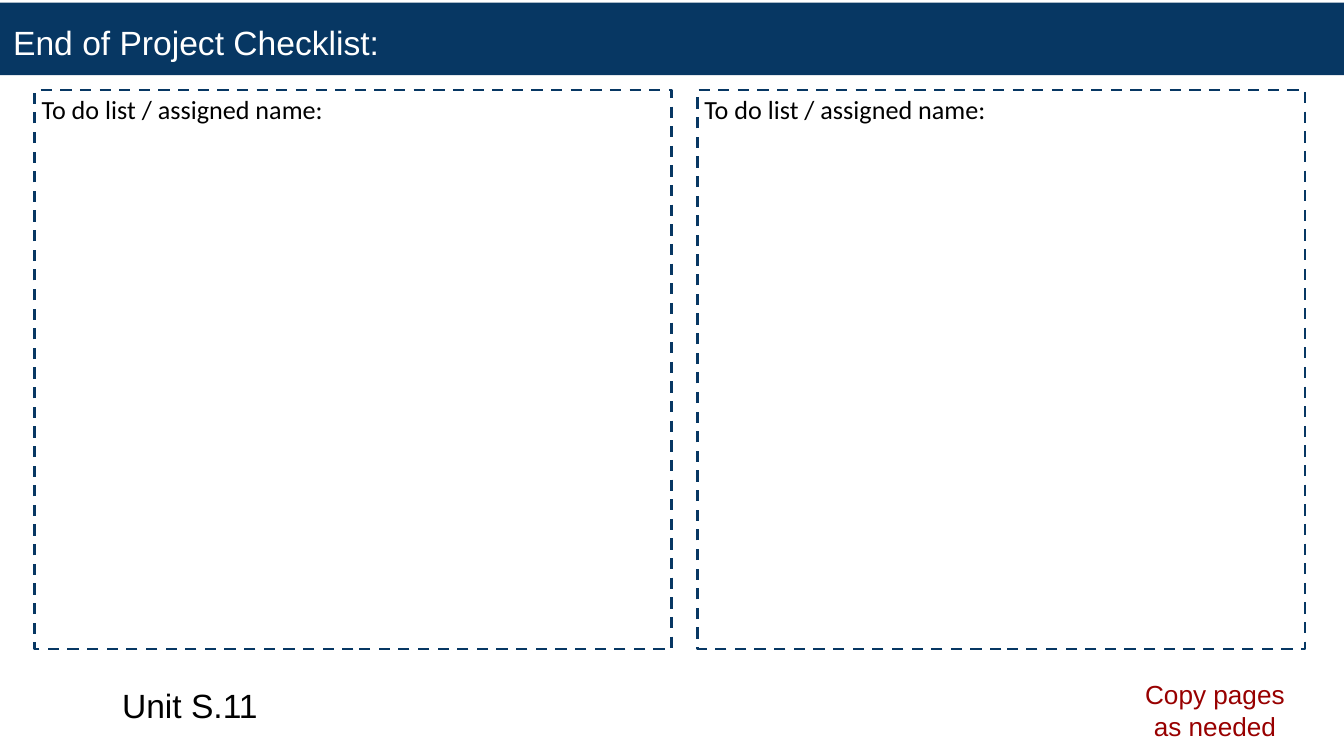
from pptx import Presentation
from pptx import util as u
from pptx.dml.color import RGBColor
from pptx.enum import dml, shapes, text

NAVY = RGBColor(0x07, 0x37, 0x63)
WHITE = RGBColor(0xFF, 0xFF, 0xFF)
BLACK = RGBColor(0x00, 0x00, 0x00)
DARK_RED = RGBColor(0x98, 0x00, 0x00)

WIDTH = 10
HEIGHT = WIDTH * 9 / 16
MARGIN, GUTTER = 0.26, 0.19
PANEL_TOP, PANEL_HEIGHT = 0.67, 4.16
PANEL_WIDTHS = (4.74, 4.52)


def inches(*lengths):
    return [u.Inches(length) for length in lengths]


def write(box, lines, font, size, color, inset=0.1,
          anchor=text.MSO_ANCHOR.TOP, align=text.PP_ALIGN.LEFT):
    """Fill the box with one paragraph, broken between the lines."""
    frame = box.text_frame
    frame.word_wrap = True
    frame.vertical_anchor = anchor
    frame.margin_left = frame.margin_right = u.Inches(inset)
    frame.margin_top = frame.margin_bottom = u.Inches(inset)
    para = frame.paragraphs[0]
    para.alignment = align
    for index, line in enumerate(lines):
        if index:
            para.add_line_break()
        span = para.add_run()
        span.text = line
        span.font.name = font
        span.font.size = u.Pt(size)
        span.font.color.rgb = color
    return para


def add_rectangle(page, *place):
    box = page.shapes.add_shape(shapes.MSO_SHAPE.RECTANGLE, *inches(*place))
    box.shadow.inherit = False
    return box


def add_title_bar(page, title):
    bar = add_rectangle(page, 0, 0.02, WIDTH, 0.54)
    bar.fill.solid()
    bar.fill.fore_color.rgb = NAVY
    bar.line.fill.background()
    write(bar, [title], "Arial", 18, WHITE, anchor=text.MSO_ANCHOR.BOTTOM)


def add_panel(page, left, width, heading):
    panel = add_rectangle(page, left, PANEL_TOP, width, PANEL_HEIGHT)
    panel.fill.background()
    panel.line.color.rgb = NAVY
    panel.line.width = u.Pt(1.5)
    panel.line.dash_style = dml.MSO_LINE.DASH
    para = write(panel, [heading], "Calibri", 14, BLACK, inset=0.05)
    para.line_spacing = 0.9
    para.space_before = u.Pt(15)


def add_note(page, place, lines, size, color, **layout):
    box = page.shapes.add_textbox(*inches(*place))
    write(box, lines, "Arial", size, color, **layout)


def main():
    deck = Presentation()
    deck.slide_width, deck.slide_height = inches(WIDTH, HEIGHT)
    page = deck.slides.add_slide(deck.slide_layouts[6])

    add_title_bar(page, "End of Project Checklist:")
    left = MARGIN
    for width in PANEL_WIDTHS:
        add_panel(page, left, width, "To do list / assigned name:")
        left += width + GUTTER
    add_note(page, (0.81, 5.03, 1.39, 0.47), ["Unit S.11"], 18, BLACK,
             anchor=text.MSO_ANCHOR.BOTTOM)
    add_note(page, (8.37, 4.95, 1.34, 0.64), ["Copy pages", "as needed"],
             14, DARK_RED, align=text.PP_ALIGN.CENTER)

    deck.save("out.pptx")


if __name__ == "__main__":
    main()
